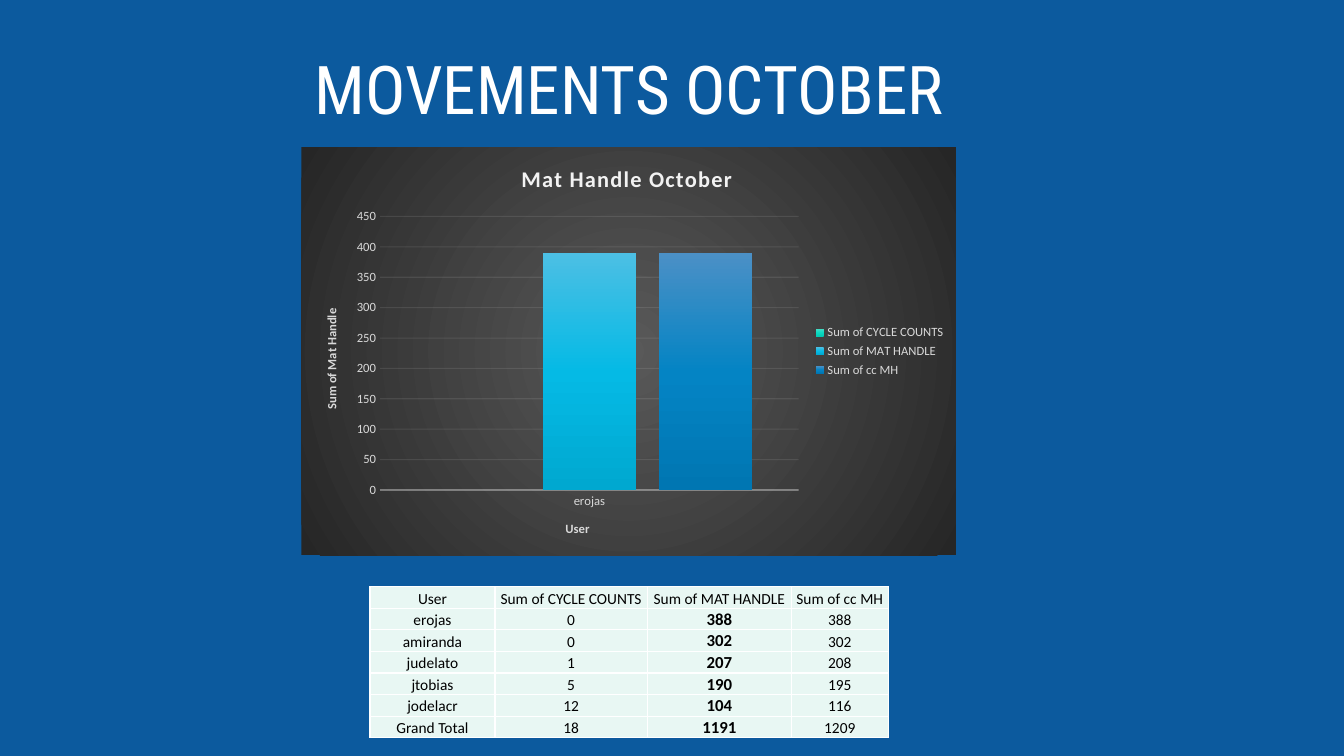
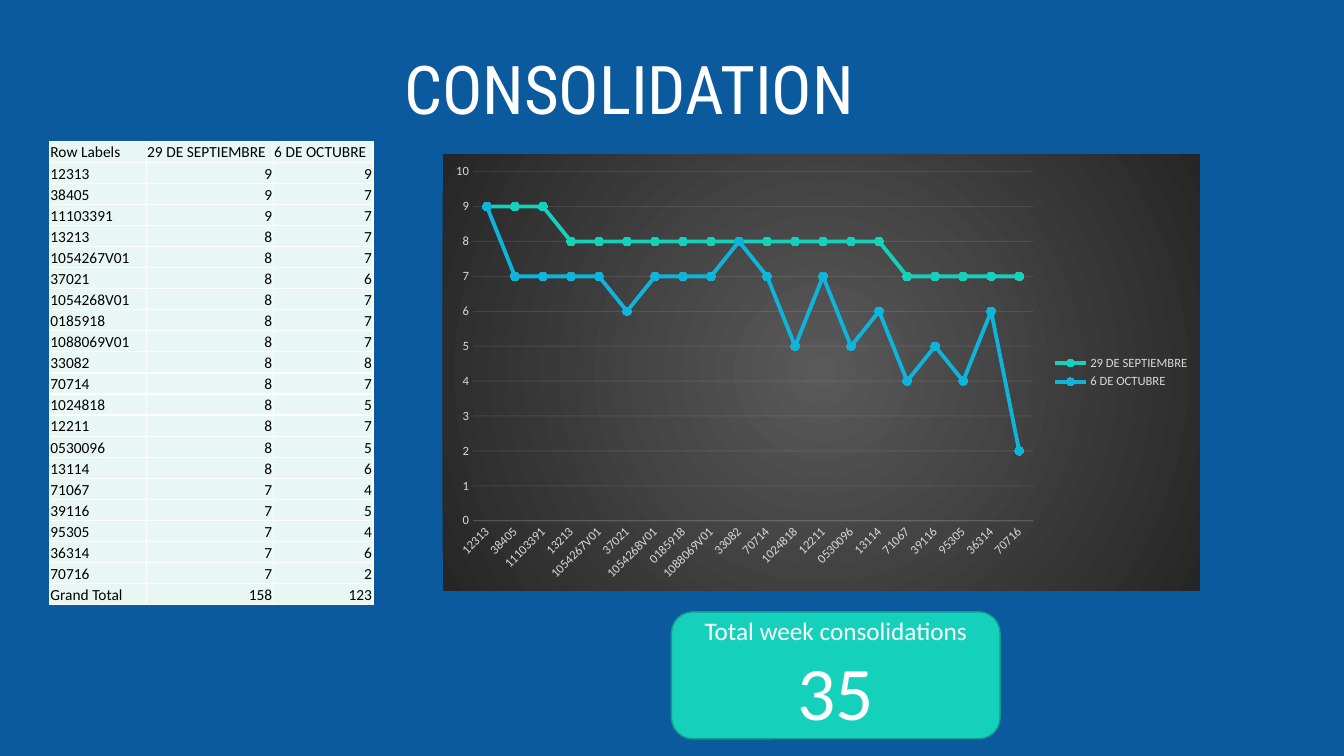
from lxml import etree
from pptx import Presentation
from pptx.chart.data import CategoryChartData
from pptx.dml.color import RGBColor
from pptx.enum.chart import XL_CHART_TYPE, XL_LEGEND_POSITION, XL_MARKER_STYLE, XL_TICK_MARK
from pptx.enum.shapes import MSO_SHAPE
from pptx.enum.text import MSO_ANCHOR, PP_ALIGN
from pptx.oxml import parse_xml
from pptx.oxml.ns import nsdecls, qn
from pptx.util import Inches, Pt

COLUMN, LINE = XL_CHART_TYPE.COLUMN_CLUSTERED, XL_CHART_TYPE.LINE_MARKERS
LEGEND_RIGHT = XL_LEGEND_POSITION.RIGHT
CIRCLE = XL_MARKER_STYLE.CIRCLE
NO_TICK = XL_TICK_MARK.NONE
ROUND_RECT = MSO_SHAPE.ROUNDED_RECTANGLE
BOTTOM, MIDDLE = MSO_ANCHOR.BOTTOM, MSO_ANCHOR.MIDDLE
LEFT, CENTER, RIGHT = PP_ALIGN.LEFT, PP_ALIGN.CENTER, PP_ALIGN.RIGHT

TITLE_FONT, BODY_FONT = "Roboto Condensed", "Calibri"
COLORS = {
    "background": "0C5A9E", "white": "FFFFFF", "black": "000000",
    "cell": "E8F7F3", "chart_text": "D9D9D9", "chart_line": "F2F2F2",
    "chart_center": "595959", "chart_edge": "262626",
    "teal": "15D1BB", "teal_marker": "0CDAC2", "teal_dark": "109B8A",
    "sky": "0FB4DB", "sky_marker": "05BAE5",
}
COLUMN_GRADIENTS = [
    ("4CDBC5", "0CDAC2", "02CAB3"),
    ("4CBFE4", "05BAE5", "00A8D0"),
    ("4B90C6", "0484C4", "0076B2"),
]
LINE_COLORS = [("teal", "teal_marker"), ("sky", "sky_marker")]

MOVEMENT_HEADS = ["User", "Sum of CYCLE COUNTS", "Sum of MAT HANDLE", "Sum of cc MH"]
MOVEMENTS = [
    ("erojas", 0, 388, 388), ("amiranda", 0, 302, 302), ("judelato", 1, 207, 208),
    ("jtobias", 5, 190, 195), ("jodelacr", 12, 104, 116),
]
TOP_USER = [("erojas", 0, 390, 390)]
WEEK_HEADS = ["Row Labels", "29 DE SEPTIEMBRE", "6 DE OCTUBRE"]
WEEKS = [
    ("12313", 9, 9), ("38405", 9, 7), ("11103391", 9, 7), ("13213", 8, 7),
    ("1054267V01", 8, 7), ("37021", 8, 6), ("1054268V01", 8, 7), ("0185918", 8, 7),
    ("1088069V01", 8, 7), ("33082", 8, 8), ("70714", 8, 7), ("1024818", 8, 5),
    ("12211", 8, 7), ("0530096", 8, 5), ("13114", 8, 6), ("71067", 7, 4),
    ("39116", 7, 5), ("95305", 7, 4), ("36314", 7, 6), ("70716", 7, 2),
]


def rgb(name):
    return RGBColor.from_string(COLORS[name])


def set_font(font, size, color, name=BODY_FONT, bold=False):
    font.name, font.size, font.bold = name, Pt(size), bold
    font.color.rgb = rgb(color)


def gradient(colors, shade):
    """Gradient fill with evenly spaced stops."""
    step = 100000 // (len(colors) - 1)
    stops = "".join(f'<a:gs pos="{i * step}"><a:srgbClr val="{c}"/></a:gs>'
                    for i, c in enumerate(colors))
    return parse_xml(f'<a:gradFill {nsdecls("a")} rotWithShape="1">'
                     f'<a:gsLst>{stops}</a:gsLst>{shade}</a:gradFill>')


def set_line(line, color, width, opacity=100):
    line.color.rgb, line.width = rgb(color), Pt(width)
    clr = line._get_or_add_ln().find(".//" + qn("a:srgbClr"))
    etree.SubElement(clr, qn("a:alpha"), val=str(opacity * 1000))


def set_layout(element, index, **fractions):
    """Place a chart part by fractions of the chart area."""
    for old in element.findall(qn("c:layout")):
        element.remove(old)
    target = '<c:layoutTarget val="inner"/>' if "w" in fractions else ""
    values = "".join(f'<c:{k} val="{v}"/>' for k, v in fractions.items())
    element.insert(index, parse_xml(
        f'<c:layout {nsdecls("c")}><c:manualLayout>{target}<c:xMode val="edge"/>'
        f'<c:yMode val="edge"/>{values}</c:manualLayout></c:layout>'))


def add_chart_title(title, text, size, color, x, y):
    p = title.text_frame.paragraphs[0]
    p.text = text
    set_font(p.font, size, color, bold=True)
    set_layout(title._element, 1, x=x, y=y)
    return p


def add_base_slide(prs, title):
    s = prs.slides.add_slide(prs.slide_layouts[6])
    s.background.fill.solid()
    s.background.fill.fore_color.rgb = rgb("background")
    tf = s.shapes.add_textbox(Inches(2.32), Inches(0.36), Inches(7.84), Inches(0.97)).text_frame
    tf.word_wrap, tf.vertical_anchor = True, BOTTOM
    tf.margin_left = tf.margin_right = 0
    p = tf.paragraphs[0]
    p.text, p.alignment, p.line_spacing = title, CENTER, 0.9
    set_font(p.font, 48, "white", TITLE_FONT)
    return s


def add_dark_chart(s, box, kind, heads, rows, top, step, plot):
    """Chart on a dark radial panel; plot is x, y, w, h in fractions."""
    data = CategoryChartData()
    data.categories = [row[0] for row in rows]
    for i, head in enumerate(heads[1:], 1):
        data.add_series(head, [row[i] for row in rows])
    chart = s.shapes.add_chart(kind, *map(Inches, box), data).chart
    set_font(chart.font, 10, "black")
    chart.has_title = False
    chart.plots[0].vary_by_categories = False

    # Panel and plot area
    panel = parse_xml(f'<c:spPr {nsdecls("c", "a")}><a:ln><a:noFill/></a:ln></c:spPr>')
    panel.insert(0, gradient(
        (COLORS["chart_center"], COLORS["chart_edge"]),
        '<a:path path="circle"><a:fillToRect l="50000" t="50000" r="50000" b="50000"/></a:path>'))
    body = chart.element.find(qn("c:chart"))
    body.addnext(panel)
    set_layout(body.find(qn("c:plotArea")), 0, **dict(zip("xywh", plot)))

    # Legend and axes
    chart.has_legend = True
    chart.legend.position = LEGEND_RIGHT
    chart.legend.include_in_layout = False
    set_font(chart.legend.font, 9, "chart_text")
    for axis in (chart.category_axis, chart.value_axis):
        axis.major_tick_mark = axis.minor_tick_mark = NO_TICK
        set_font(axis.tick_labels.font, 9, "chart_text")
    values = chart.value_axis
    values.minimum_scale, values.maximum_scale, values.major_unit = 0, top, step
    values.format.line.fill.background()
    set_line(values.major_gridlines.format.line, "chart_line", 0.75, 10)
    return chart


def add_movement_chart(s, box):
    chart = add_dark_chart(s, box, COLUMN, MOVEMENT_HEADS, TOP_USER, 450, 50,
                           (0.12, 0.17, 0.64, 0.67))
    plot = chart.plots[0]
    plot.gap_width, plot.overlap = 100, -24
    for ser, colors in zip(plot.series, COLUMN_GRADIENTS):
        ser.invert_if_negative = False
        ser._element.get_or_add_spPr().append(gradient(colors, '<a:lin ang="5400000"/>'))
    set_line(chart.category_axis.format.line, "chart_line", 1, 54)
    p = add_chart_title(chart.chart_title, "Mat Handle October", 16, "chart_line", 0.33, 0.03)
    p.runs[0]._r.get_or_add_rPr().set("spc", "100")
    add_chart_title(chart.category_axis.axis_title, "User", 9, "chart_text", 0.4, 0.91)
    add_chart_title(chart.value_axis.axis_title, "Sum of Mat Handle", 9, "chart_text", 0.03, 0.39)


def add_week_chart(s, box):
    chart = add_dark_chart(s, box, LINE, WEEK_HEADS, WEEKS, 10, 1, (0.04, 0.04, 0.74, 0.8))
    for ser, (color, marker_color) in zip(chart.plots[0].series, LINE_COLORS):
        ser.smooth = False
        set_line(ser.format.line, color, 2.75)
        ser.marker.style, ser.marker.size = CIRCLE, 6
        ser.marker.format.fill.solid()
        ser.marker.format.fill.fore_color.rgb = rgb(marker_color)
        set_line(ser.marker.format.line, color, 0.75)
    axis = chart.category_axis
    set_line(axis.format.line, "chart_line", 0.75, 10)
    axis._element.find(f'{qn("c:txPr")}/{qn("a:bodyPr")}').set("rot", "-2700000")


def style_cell(cell, text, align, size, bold):
    cell.margin_left = cell.margin_right = cell.margin_top = Inches(0.01)
    cell.margin_bottom = 0
    cell.vertical_anchor = BOTTOM
    p = cell.text_frame.paragraphs[0]
    p.text, p.alignment = str(text), align
    set_font(p.font, size, "black", bold=bold)
    for side in "LRTB":
        cell._tc.get_or_add_tcPr().append(parse_xml(
            f'<a:ln{side} {nsdecls("a")} w="12700"><a:solidFill>'
            f'<a:srgbClr val="{COLORS["white"]}"/></a:solidFill></a:ln{side}>'))
    cell.fill.solid()
    cell.fill.fore_color.rgb = rgb("cell")


def add_total_table(s, box, widths, heads, rows, text_align, number_align, bold_col=None):
    """Table with a heading row, the data and a row of column sums."""
    totals = [sum(col) for col in list(zip(*rows))[1:]]
    grid = [heads, *rows, ("Grand Total", *totals)]
    table = s.shapes.add_table(len(grid), len(heads), *map(Inches, box)).table
    table.first_row = table.horz_banding = False
    for col, width in zip(table.columns, widths):
        col.width = Inches(width)
    for r, row in enumerate(grid):
        table.rows[r].height = Inches(box[3] / len(grid))
        for c, value in enumerate(row):
            bold = r > 0 and c == bold_col
            align = number_align if r and c else text_align
            style_cell(table.cell(r, c), value, align, 12 if bold else 11, bold)


def add_total_card(s, box, label, value):
    card = s.shapes.add_shape(ROUND_RECT, *map(Inches, box))
    card.shadow.inherit = False
    card.fill.solid()
    card.fill.fore_color.rgb = rgb("teal")
    set_line(card.line, "teal_dark", 1)
    tf = card.text_frame
    tf.word_wrap, tf.vertical_anchor = True, MIDDLE
    for i, (text, size) in enumerate([(label, 18), (value, 54)]):
        p = tf.add_paragraph() if i else tf.paragraphs[0]
        p.text, p.alignment = text, CENTER
        set_font(p.font, size, "white")


def movements_slide(prs):
    s = add_base_slide(prs, "MOVEMENTS OCTOBER")
    add_movement_chart(s, (2.99, 1.46, 6.49, 4.05))
    add_total_table(s, (3.67, 5.82, 5.14, 1.5), (1.24, 1.51, 1.43, 0.96),
                    MOVEMENT_HEADS, MOVEMENTS, CENTER, CENTER, bold_col=2)


def consolidation_slide(prs):
    s = add_base_slide(prs, "CONSOLIDATION")
    add_week_chart(s, (4.39, 1.53, 7.51, 4.33))
    add_total_table(s, (0.49, 1.4, 3.21, 4.6), (0.96, 1.26, 0.99),
                    WEEK_HEADS, WEEKS, LEFT, RIGHT)
    add_total_card(s, (6.66, 6.07, 3.26, 1.26), "Total week consolidations", "35")


def main():
    prs = Presentation()
    prs.slide_width, prs.slide_height = Inches(13.33), Inches(7.5)
    movements_slide(prs)
    consolidation_slide(prs)
    prs.save("out.pptx")


if __name__ == "__main__":
    main()
